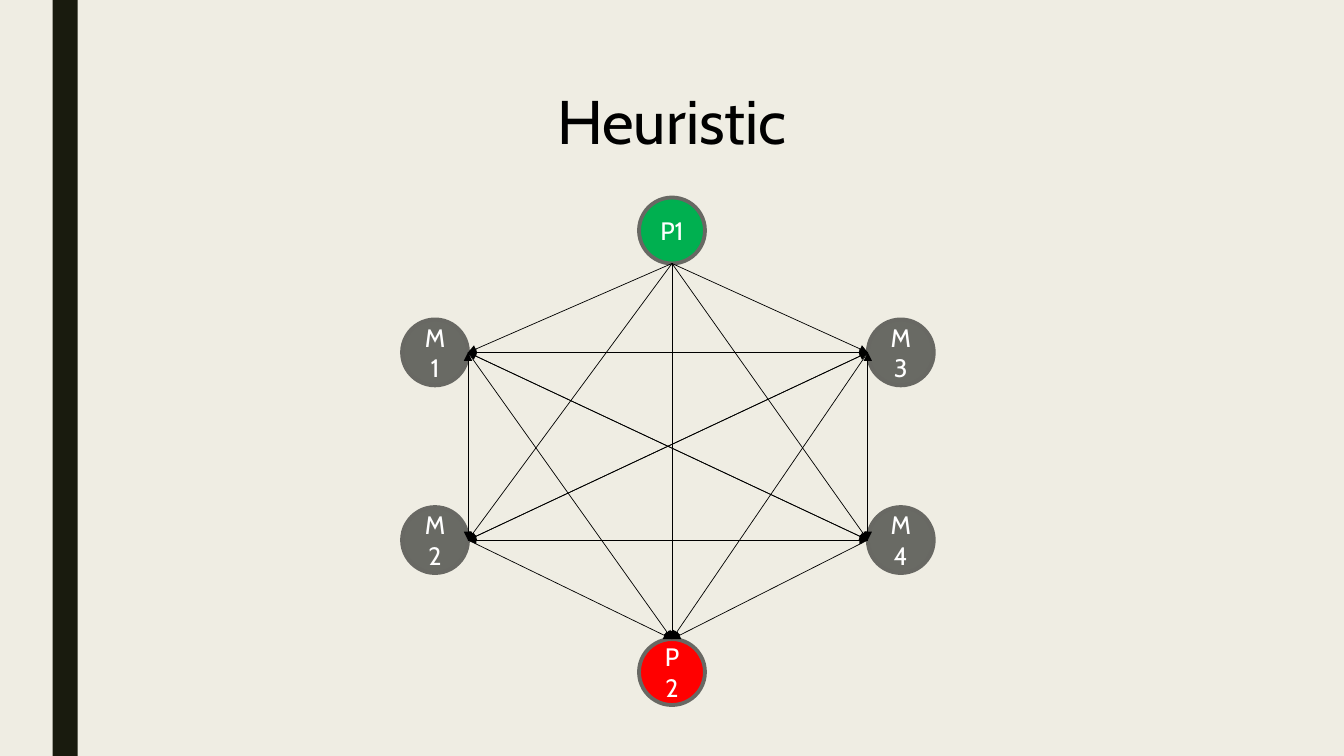
"""Build the Heuristic slide: a graph of two end nodes and four middle nodes."""
from itertools import product

from lxml import etree
from pptx import Presentation
from pptx.dml.color import RGBColor
from pptx.enum import shapes, text
from pptx.oxml import ns
from pptx.util import Pt

TITLE = "Heuristic"
START, END = "P1", "P2"
MIDDLE = ["M1", "M2", "M3", "M4"]

THEME = {
    "font": "Cabin", "title_size": 44, "node_size": 18,
    "back": "EFEDE3", "bar": "191B0E", "ink": "000000", "label": "FFFFFF",
    "start": "00B050", "end": "FF0000", "middle": "696A64", "rim": "686863",
    "rim_width": 2.75, "edge_width": 0.5,
}

DIAMETER = 47.1
CENTRE_X, START_Y, END_Y = 480, 141.1, 456.5
COLUMNS, ROWS = (287.2, 619.9), (228.2, 362.2)
PORTS = {"bottom": (0.5, 1), "top": (0.5, 0), "right": (1, 0.5), "left": (0, 0.5)}


def colour(name):
    return RGBColor.from_string(THEME[name])


def write(tf, content, size, ink, spacing=1.0):
    tf.word_wrap = True
    tf.vertical_anchor = text.MSO_ANCHOR.MIDDLE
    p = tf.paragraphs[0]
    p.alignment = text.PP_ALIGN.CENTER
    p.line_spacing = spacing
    r = p.add_run()
    r.text = content
    r.font.name = THEME["font"]
    r.font.size = Pt(THEME[size])
    r.font.color.rgb = colour(ink)


def add_filled(s, kind, box, fill):
    sp = s.shapes.add_shape(kind, *map(Pt, box))
    sp.shadow.inherit = False
    sp.fill.solid()
    sp.fill.fore_color.rgb = colour(fill)
    sp.line.fill.background()
    return sp


def add_node(s, label, left, top, fill):
    box = (left, top, DIAMETER, DIAMETER)
    sp = add_filled(s, shapes.MSO_SHAPE.OVAL, box, fill)
    sp.line.color.rgb = colour("rim")
    sp.line.width = Pt(THEME["rim_width"])
    write(sp.text_frame, label, "node_size", "label")


def add_arrow(s, start, end):
    points = map(Pt, (*start, *end))
    cx = s.shapes.add_connector(shapes.MSO_CONNECTOR.STRAIGHT, *points)
    cx.line.color.rgb = colour("ink")
    cx.line.width = Pt(THEME["edge_width"])
    etree.SubElement(cx.line._get_or_add_ln(), ns.qn("a:tailEnd"), type="triangle")
    etree.SubElement(cx._element.spPr, ns.qn("a:effectLst"))


def layout_nodes():
    nodes = {
        START: (CENTRE_X - DIAMETER / 2, START_Y, "start", "bottom"),
        END: (CENTRE_X - DIAMETER / 2, END_Y, "end", "top"),
    }
    sides = zip(COLUMNS, ("right", "left"))
    for label, ((left, port), top) in zip(MIDDLE, product(sides, ROWS)):
        nodes[label] = (left, top, "middle", port)
    return nodes


def main():
    prs = Presentation()
    prs.slide_width, prs.slide_height = Pt(960), Pt(540)
    s = prs.slides.add_slide(prs.slide_layouts[5])
    s.background.fill.solid()
    s.background.fill.fore_color.rgb = colour("back")

    title = s.shapes.title
    title.left, title.top, title.width, title.height = map(Pt, (66, 36.7, 828, 104.4))
    write(title.text_frame, TITLE, "title_size", "ink", spacing=0.9)
    add_filled(s, shapes.MSO_SHAPE.RECTANGLE, (37.5, 0, 18, 540), "bar")

    ports = {}
    for label, (left, top, fill, port) in layout_nodes().items():
        add_node(s, label, left, top, fill)
        dx, dy = PORTS[port]
        ports[label] = (left + dx * DIAMETER, top + dy * DIAMETER)

    for source, target in product([START, *MIDDLE], [*MIDDLE, END]):
        if source != target:
            add_arrow(s, ports[source], ports[target])

    prs.save("out.pptx")


if __name__ == "__main__":
    main()
